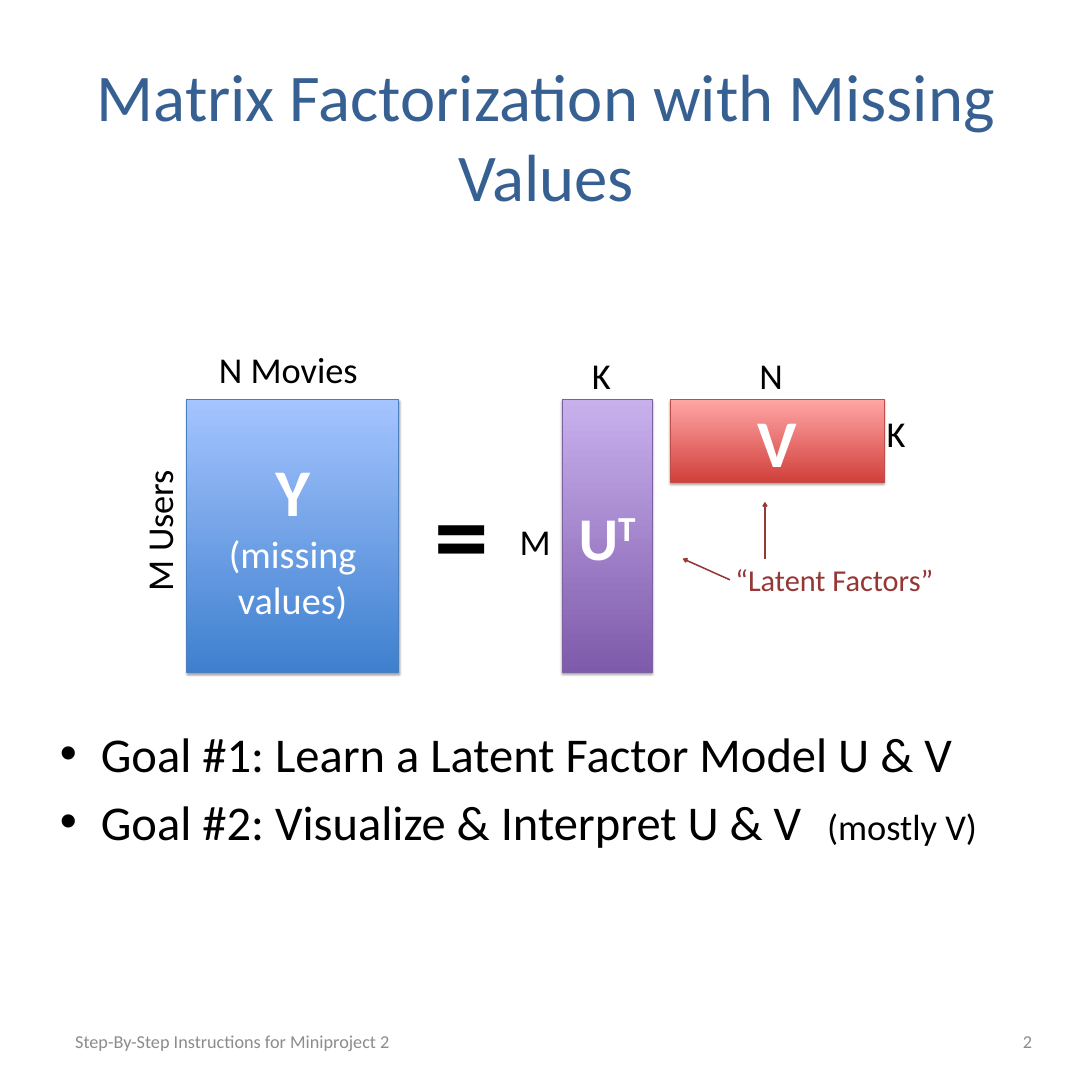
from lxml import etree
from pptx import Presentation
from pptx import util as u
from pptx.dml.color import RGBColor
from pptx.enum import shapes, text
from pptx.oxml import ns

rgb = RGBColor.from_string
BLACK, WHITE, GREY, NAVY, MAROON = "000000", "FFFFFF", "8C8C8C", "376092", "953735"
LEFT, CENTER, RIGHT = text.PP_ALIGN.LEFT, text.PP_ALIGN.CENTER, text.PP_ALIGN.RIGHT
MIDDLE = text.MSO_ANCHOR.MIDDLE

presentation = Presentation()
presentation.slide_width = presentation.slide_height = u.Inches(20)
CELL = presentation.slide_width // 20  # the slide is a grid of 20 by 20 cells
slide = presentation.slides.add_slide(presentation.slide_layouts[6])


def grid(*cells):
    return [round(cell * CELL) for cell in cells]


def style(paragraph, size, color, bold=False, align=LEFT):
    paragraph.alignment = align
    for run in paragraph.runs:
        run.font.name = "Calibri"
        run.font.size = u.Pt(size)
        run.font.bold = bold
        run.font.color.rgb = rgb(color)


# Title, footer and slide number
MARGIN, FOOTER_TOP, FOOTER_HEIGHT = 1, 18.54, 1.06
for words, box, size, color, align in [
    ("Matrix Factorization with Missing Values", (MARGIN, 0.8, 18, 3.33), 88, NAVY, CENTER),
    ("Step-By-Step Instructions for Miniproject 2",
     (MARGIN, FOOTER_TOP, 6.51, FOOTER_HEIGHT), 24, GREY, CENTER),
    ("2", (14.33, FOOTER_TOP, 4.67, FOOTER_HEIGHT), 24, GREY, RIGHT),
]:
    frame = slide.shapes.add_textbox(*grid(*box)).text_frame
    frame.word_wrap = True
    frame.vertical_anchor = MIDDLE
    frame.text = words
    style(frame.paragraphs[0], size, color, align=align)

# Goals, with a tab stop before the remark
goals = slide.shapes.add_textbox(*grid(MARGIN, 13.21, 18, 2.69)).text_frame
goals.word_wrap = True
goals.text = "Goal #1: Learn a Latent Factor Model U & V\nGoal #2: Visualize & Interpret U & V"
remark = goals.paragraphs[1].add_run()
remark.text = "\t(mostly V)"
INDENT, REMARK_STOP = grid(0.75, 14.05)
for paragraph in goals.paragraphs:
    style(paragraph, 64, BLACK)
    paragraph.space_before = u.Pt(12.8)
    properties = paragraph._p.get_or_add_pPr()
    properties.set("marL", str(INDENT))
    properties.set("indent", str(-INDENT))
    etree.SubElement(properties, ns.qn("a:buFont"), typeface="Arial")
    etree.SubElement(properties, ns.qn("a:buChar"), char="•")
    tabs = etree.SubElement(properties, ns.qn("a:tabLst"))
    etree.SubElement(tabs, ns.qn("a:tab"), pos=str(REMARK_STOP), algn="l")
remark.font.size = u.Pt(48)

# Matrices: name, box, bottom colour, top colour, outline, name size
MATRIX_TOP, MATRIX_HEIGHT = 7.32, 4.99
matrices = {}
for name, left, width, height, bottom, top, outline, size in [
    ("Y", 3.42, 3.88, MATRIX_HEIGHT, "3F80CE", "A4C4FF", "4B7EBC", 88),
    ("U", 10.3, 1.64, MATRIX_HEIGHT, "7F5BAB", "C8B0ED", "7D60A0", 80),
    ("V", 12.27, 3.92, 1.51, "D1403C", "FFA6A5", "BF4C48", 88),
]:
    matrix = slide.shapes.add_shape(
        shapes.MSO_SHAPE.RECTANGLE, *grid(left, MATRIX_TOP, width, height))
    matrix.fill.gradient()
    matrix.fill.gradient_angle = 90
    for stop, color in zip(matrix.fill.gradient_stops, (bottom, top)):
        stop.color.rgb = rgb(color)
    matrix.line.color.rgb = rgb(outline)
    matrix.line.width = u.Pt(0.75)
    matrix.shadow.inherit = False
    effects = matrix._element.spPr.find(ns.qn("a:effectLst"))
    shadow = etree.SubElement(
        effects, ns.qn("a:outerShdw"), blurRad=str(u.Pt(3.1)), dist=str(u.Pt(1.8)),
        dir="5400000", rotWithShape="0")
    shade = etree.SubElement(shadow, ns.qn("a:srgbClr"), val=BLACK)
    etree.SubElement(shade, ns.qn("a:alpha"), val="35000")
    matrix.text_frame.vertical_anchor = MIDDLE
    matrix.text_frame.text = name
    style(matrix.text_frame.paragraphs[0], size, WHITE, True, CENTER)
    matrices[name] = matrix.text_frame

# Note inside Y and the transpose sign of U
note = matrices["Y"].add_paragraph()
note.text = "(missing values)"
style(note, 50.4, WHITE, align=CENTER)
transposed = matrices["U"].paragraphs[0]
transpose = transposed.add_run()
transpose.text = "T"
style(transposed, 80, WHITE, True, CENTER)
transpose.font._element.set("baseline", "30000")

# Dimension labels, equals sign and factor caption
for words, box, size, color, bold, rotation in [
    ("N Movies", (3.91, 6.3, 2.77, 0.91), 48, BLACK, False, 0),
    ("M Users", (1.69, 9.25, 2.44, 0.91), 48, BLACK, False, 270),
    ("=", (7.86, 8.48, 1.21, 2.52), 144, BLACK, True, 0),
    ("N", (13.81, 6.41, 0.64, 0.91), 48, BLACK, False, 0),
    ("M", (9.42, 9.45, 0.78, 0.91), 48, BLACK, False, 0),
    ("K", (10.74, 6.41, 0.55, 0.91), 48, BLACK, False, 0),
    ("K", (16.14, 7.48, 0.55, 0.91), 48, BLACK, False, 0),
    ("“Latent Factors”", (13.37, 10.23, 3.87, 0.77), 40, MAROON, False, 0),
]:
    label = slide.shapes.add_textbox(*grid(*box))
    label.rotation = rotation
    label.text_frame.word_wrap = False
    label.text_frame.auto_size = text.MSO_AUTO_SIZE.SHAPE_TO_FIT_TEXT
    label.text_frame.text = words
    style(label.text_frame.paragraphs[0], size, color, bold)

# Arrows from the caption to U and V
for ends in [(13.37, 10.62, 12.5, 10.23), (14.01, 10.23, 14.01, 9.19)]:
    arrow = slide.shapes.add_connector(shapes.MSO_CONNECTOR.STRAIGHT, *grid(*ends))
    arrow.line.color.rgb = rgb(MAROON)
    arrow.line.width = u.Pt(2)
    etree.SubElement(arrow.line._get_or_add_ln(), ns.qn("a:tailEnd"), type="arrow")
    etree.SubElement(arrow._element.spPr, ns.qn("a:effectLst"))

presentation.save("out.pptx")
